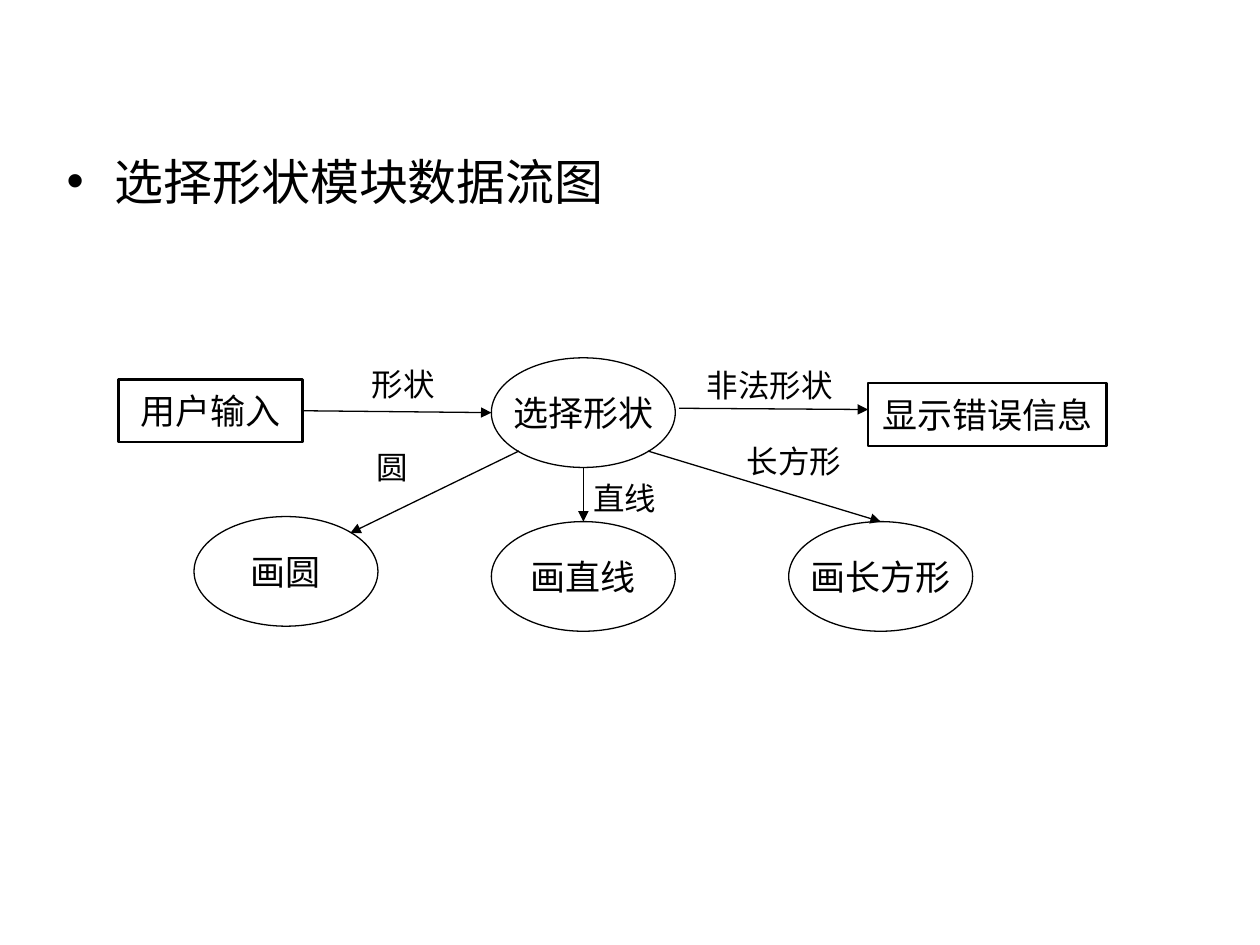
"""Build a slide with the data flow diagram of the shape selection module."""
from lxml import etree
from pptx import Presentation
from pptx.dml.color import RGBColor
from pptx.enum.shapes import MSO_CONNECTOR, MSO_SHAPE
from pptx.enum.text import MSO_ANCHOR, PP_ALIGN
from pptx.oxml.ns import qn
from pptx.util import Inches, Pt

RECTANGLE, ELLIPSE = MSO_SHAPE.RECTANGLE, MSO_SHAPE.OVAL
STRAIGHT = MSO_CONNECTOR.STRAIGHT
MIDDLE, CENTER = MSO_ANCHOR.MIDDLE, PP_ALIGN.CENTER

COLORS = {"ink": "000000", "paper": "FFFFFF"}
LATIN, CHINESE = "Arial", "Noto Sans CJK SC"

TITLE = "选择形状模块数据流图"
TITLE_BOX = (0.43, 1.15, 9.06, 5.77)
TITLE_INDENT = 0.38

COLUMN, COLUMN_STEP = 1.54, 2.36
BOX_HEIGHT = 0.5
ELLIPSE_SIZE = (1.46, 0.87)
NODES = {
    "用户输入": (RECTANGLE, 0.94, 3.01, 1.46, BOX_HEIGHT),
    "显示错误信息": (RECTANGLE, 6.89, 3.04, 1.89, BOX_HEIGHT),
    "选择形状": (ELLIPSE, COLUMN + COLUMN_STEP, 2.84, *ELLIPSE_SIZE),
    "画圆": (ELLIPSE, COLUMN, 4.1, *ELLIPSE_SIZE),
    "画直线": (ELLIPSE, COLUMN + COLUMN_STEP, 4.14, *ELLIPSE_SIZE),
    "画长方形": (ELLIPSE, COLUMN + 2 * COLUMN_STEP, 4.14, *ELLIPSE_SIZE),
}
LINE_WIDTHS = {RECTANGLE: 1.5, ELLIPSE: 0.75}

TOP, BOTTOM, LEFT, RIGHT = (0.5, 0), (0.5, 1), (0, 0.5), (1, 0.5)
LOWER_LEFT, LOWER_RIGHT, UPPER_RIGHT = (0.15, 0.85), (0.85, 0.85), (0.85, 0.15)
BESIDE_RIGHT, BOX_LEFT = (1.02, 0.46), (0, 0.42)
FLOWS = [
    ("用户输入", RIGHT, "选择形状", LEFT),
    ("选择形状", BESIDE_RIGHT, "显示错误信息", BOX_LEFT),
    ("选择形状", LOWER_LEFT, "画圆", UPPER_RIGHT),
    ("选择形状", BOTTOM, "画直线", TOP),
    ("选择形状", LOWER_RIGHT, "画长方形", TOP),
]

LABEL_HEIGHT = 0.4
LABELS = [
    ("形状", 2.85, 2.85, 0.98),
    ("非法形状", 5.51, 2.86, 1.34),
    ("圆", 2.89, 3.51, 0.98),
    ("直线", 4.61, 3.75, 0.98),
    ("长方形", 5.83, 3.46, 0.98),
]


def color(name):
    return RGBColor.from_string(COLORS[name])


def inches(values):
    return [Inches(value) for value in values]


def style_text(paragraph, text, size, latin):
    paragraph.text = text
    paragraph.font.size = Pt(size)
    paragraph.font.name = latin
    paragraph.font.color.rgb = color("ink")
    defaults = paragraph._p.pPr.find(qn("a:defRPr"))
    etree.SubElement(defaults, qn("a:ea"), typeface=CHINESE)


def add_text(slide, text, box, size):
    frame = slide.shapes.add_textbox(*inches(box)).text_frame
    frame.word_wrap = True
    paragraph = frame.paragraphs[0]
    return paragraph, text, size, LATIN


def add_title(slide):
    arguments = add_text(slide, TITLE, TITLE_BOX, 28)
    properties = arguments[0]._p.get_or_add_pPr()
    properties.set("marL", str(Inches(TITLE_INDENT)))
    properties.set("indent", str(-Inches(TITLE_INDENT)))
    etree.SubElement(properties, qn("a:buFont"), typeface=LATIN)
    etree.SubElement(properties, qn("a:buChar"), char="•")
    style_text(*arguments)


def add_node(slide, text, kind, *box):
    shape = slide.shapes.add_shape(kind, *inches(box))
    shape.shadow.inherit = False
    shape.fill.solid()
    shape.fill.fore_color.rgb = color("paper")
    shape.line.color.rgb = color("ink")
    shape.line.width = Pt(LINE_WIDTHS[kind])
    frame = shape.text_frame
    frame.word_wrap = False
    frame.vertical_anchor = MIDDLE
    paragraph = frame.paragraphs[0]
    paragraph.alignment = CENTER
    style_text(paragraph, text, 20, CHINESE)


def point_on(node, share):
    _, left, top, width, height = NODES[node]
    return inches((left + share[0] * width, top + share[1] * height))


def add_flow(slide, source, start, target, end):
    connector = slide.shapes.add_connector(
        STRAIGHT, *point_on(source, start), *point_on(target, end))
    connector.line.color.rgb = color("ink")
    connector.line.width = Pt(0.75)
    etree.SubElement(connector.line._get_or_add_ln(), qn("a:tailEnd"), type="triangle")
    etree.SubElement(connector._element.spPr, qn("a:effectLst"))


def main():
    presentation = Presentation()
    presentation.slide_width, presentation.slide_height = inches((10, 7.5))
    slide = presentation.slides.add_slide(presentation.slide_layouts[6])
    add_title(slide)
    for text, node in NODES.items():
        add_node(slide, text, *node)
    for flow in FLOWS:
        add_flow(slide, *flow)
    for text, left, top, width in LABELS:
        style_text(*add_text(slide, text, (left, top, width, LABEL_HEIGHT), 18))
    presentation.save("out.pptx")


if __name__ == "__main__":
    main()
